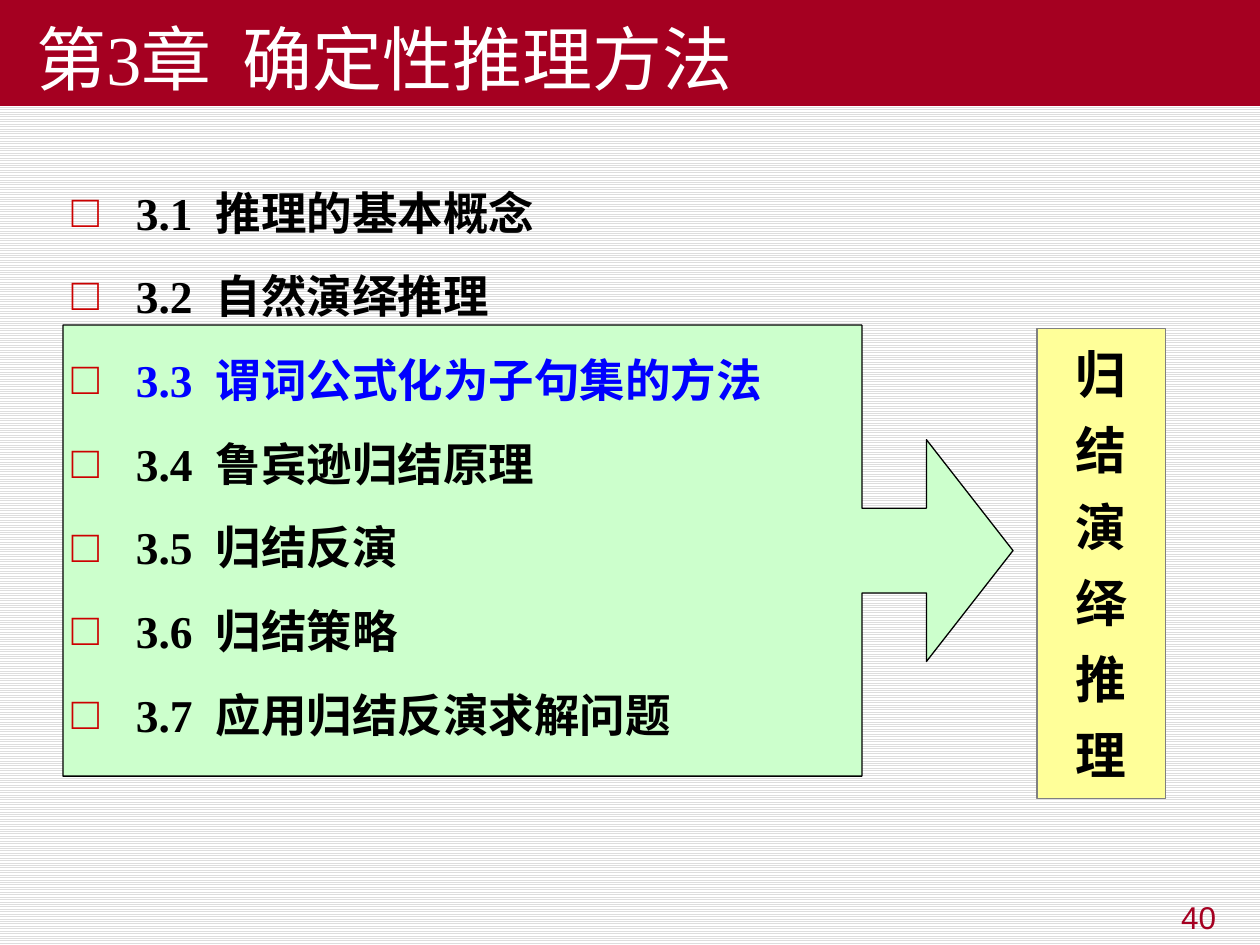
from lxml import etree
from pptx import Presentation
from pptx import util as u
from pptx.dml.color import RGBColor
from pptx.enum import dml, shapes, text
from pptx.oxml import ns

HUES = {
    "red": "A50021", "mark": "CC0000", "green": "CCFFCC", "yellow": "FFFF99",
    "blue": "0000FF", "black": "000000", "white": "FFFFFF",
    "gray": "808080", "stripe": "DDDDDD",
}
SERIF, SANS = "Times New Roman", "Arial"


def add_run(para, words, size, font, hue, bold=False):
    run = para.add_run()
    run.text = words
    run.font.size = u.Pt(size)
    run.font.name = font
    run.font.bold = bold
    run.font.color.rgb = RGBColor.from_string(HUES[hue])


def add_box(kind, left, top, width, height, fill, line=None):
    box = slide.shapes.add_shape(
        kind, *(u.Inches(n) for n in (left, top, width, height)))
    box.shadow.inherit = False
    box.fill.solid()
    box.fill.fore_color.rgb = RGBColor.from_string(HUES[fill])
    if line:
        box.line.color.rgb = RGBColor.from_string(HUES[line])
        box.line.width = u.Pt(0.75)
    else:
        box.line.fill.background()
    return box


deck = Presentation()
deck.slide_width, deck.slide_height = u.Inches(10), u.Inches(7.5)
slide = deck.slides.add_slide(deck.slide_layouts[6])

# Striped background
back = slide.background.fill
back.patterned()
back.pattern = dml.MSO_PATTERN.LIGHT_HORIZONTAL
back.fore_color.rgb = RGBColor.from_string(HUES["stripe"])
back.back_color.rgb = RGBColor.from_string(HUES["white"])

# Page number
page = slide.shapes.add_textbox(
    u.Inches(7.58), u.Inches(7.08), u.Inches(2.17), u.Inches(0.39))
page.text_frame.word_wrap = True
para = page.text_frame.paragraphs[0]
para.alignment = text.PP_ALIGN.RIGHT
add_run(para, "40", 18, SANS, "red")

# Callout around sections 3.3 to 3.7
kinds = shapes.MSO_SHAPE
call = add_box(kinds.RIGHT_ARROW_CALLOUT, 0.5, 2.58, 7.54, 3.58, "green", "black")
for i, ratio in enumerate((0.188, 0.246, 0.192, 0.841)):
    call.adjustments[i] = ratio

# Topic the arrow leads to, one character a line
topic = add_box(kinds.RECTANGLE, 8.23, 2.61, 1.02, 3.73, "yellow", "gray")
frame = topic.text_frame
frame.word_wrap = True
frame.vertical_anchor = text.MSO_ANCHOR.MIDDLE
for i, sign in enumerate("归结演绎推理"):
    para = frame.add_paragraph() if i else frame.paragraphs[0]
    para.alignment = text.PP_ALIGN.CENTER
    gap = etree.SubElement(para._p.get_or_add_pPr(), ns.qn("a:spcBef"))
    etree.SubElement(gap, ns.qn("a:spcPct"), val="30000")
    add_run(para, sign, 29, SANS, "black", True)

# Title band
band = add_box(kinds.RECTANGLE, 0, 0, 10, 0.84, "red")
frame = band.text_frame
frame.word_wrap = True
frame.vertical_anchor = text.MSO_ANCHOR.BOTTOM
para = frame.paragraphs[0]
para.alignment = text.PP_ALIGN.LEFT
para._p.get_or_add_pPr().set("indent", str(u.Inches(0.19)))
add_run(para, "第3章  确定性推理方法", 40, SERIF, "white")

# Section list
heads = ["推理的基本概念", "自然演绎推理", "谓词公式化为子句集的方法",
         "鲁宾逊归结原理", "归结反演", "归结策略", "应用归结反演求解问题"]
body = slide.shapes.add_textbox(
    u.Inches(0.47), u.Inches(1.33), u.Inches(9.45), u.Inches(5.91))
frame = body.text_frame
frame.word_wrap = True
for i, head in enumerate(heads, 1):
    para = frame.paragraphs[0] if i == 1 else frame.add_paragraph()
    para.line_spacing = 1.2
    props = para._p.get_or_add_pPr()
    props.set("marL", str(u.Inches(0.51)))
    props.set("indent", str(u.Inches(-0.51)))
    gap = etree.SubElement(props, ns.qn("a:spcBef"))
    etree.SubElement(gap, ns.qn("a:spcPct"), val="40000")
    tint = etree.SubElement(props, ns.qn("a:buClr"))
    etree.SubElement(tint, ns.qn("a:srgbClr"), val=HUES["mark"])
    etree.SubElement(props, ns.qn("a:buFont"), typeface=SERIF)
    etree.SubElement(props, ns.qn("a:buChar"), char="□")
    add_run(para, f"3.{i}  {head}", 26, SERIF, "blue" if i == 3 else "black", True)

deck.save("out.pptx")
